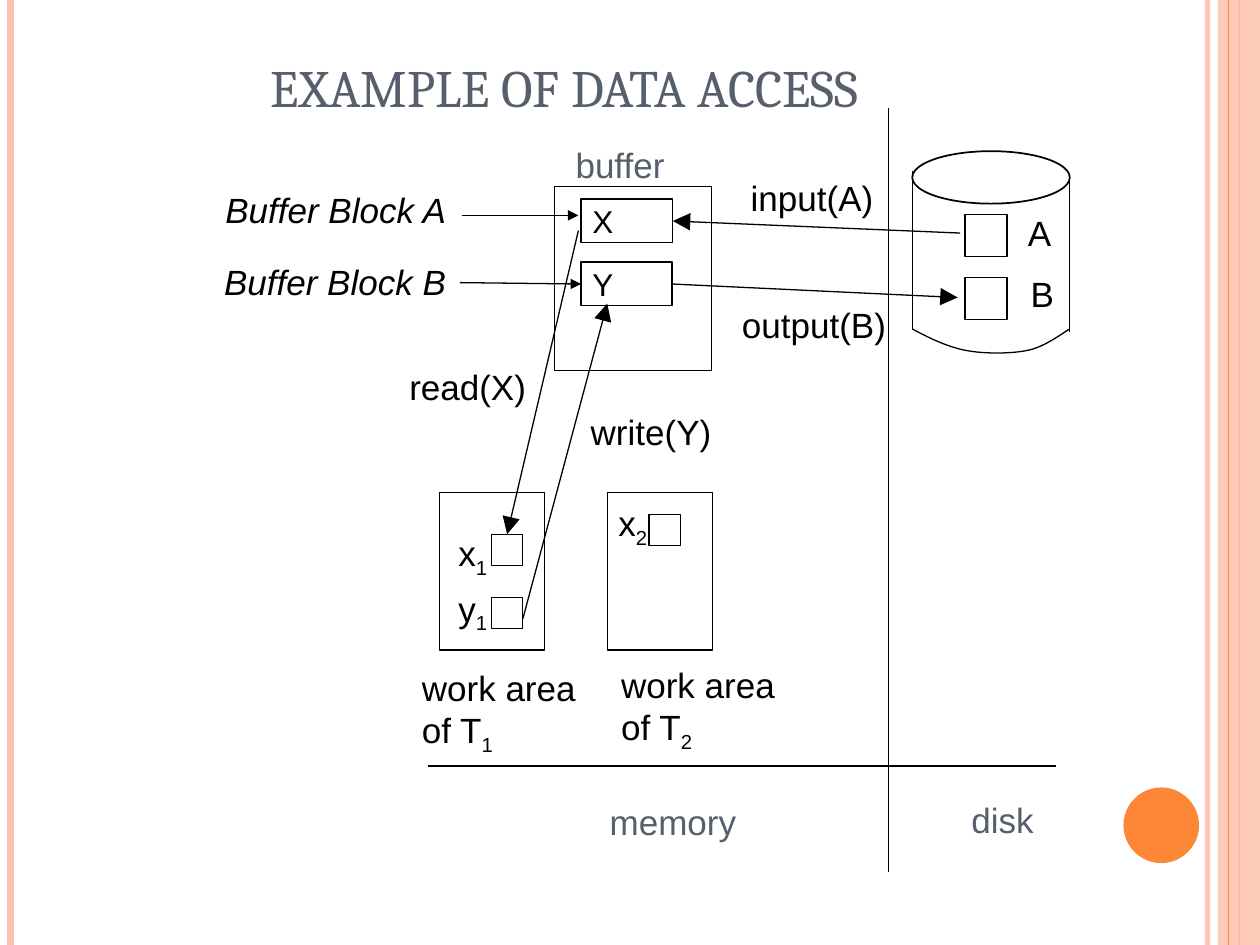
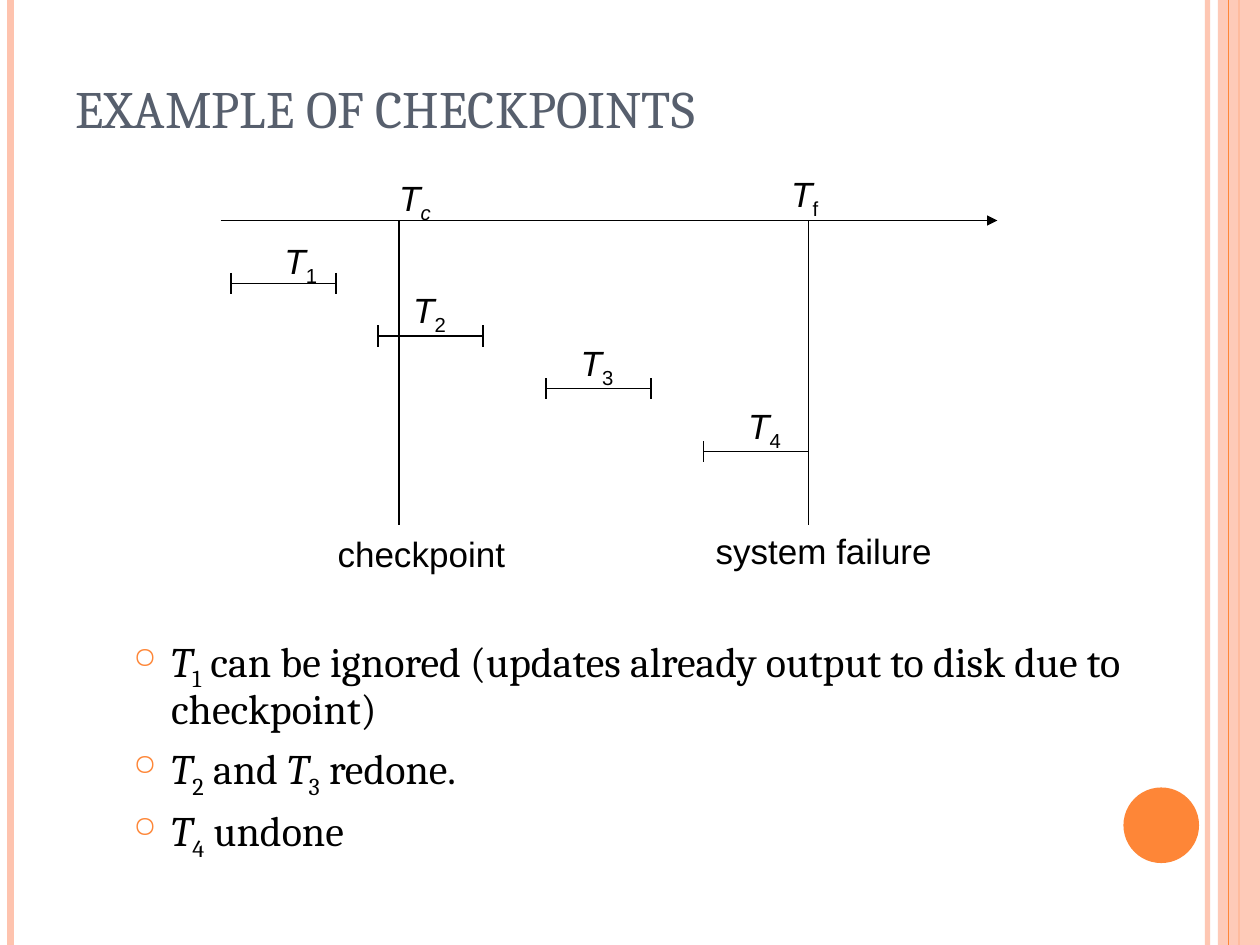
from lxml import etree
from pptx import Presentation
from pptx.dml.color import RGBColor
from pptx.enum.shapes import MSO_CONNECTOR, MSO_SHAPE
from pptx.enum.text import MSO_ANCHOR, MSO_AUTO_SIZE, PP_ALIGN
from pptx.oxml.ns import qn
from pptx.util import Pt

RECT, OVAL = MSO_SHAPE.RECTANGLE, MSO_SHAPE.OVAL
STRAIGHT = MSO_CONNECTOR.STRAIGHT
LEFT = PP_ALIGN.LEFT
TOP, MIDDLE, BOTTOM = MSO_ANCHOR.TOP, MSO_ANCHOR.MIDDLE, MSO_ANCHOR.BOTTOM
NO_FIT = MSO_AUTO_SIZE.NONE
SIDE_TOP, SIDE_LEFT, SIDE_RIGHT = 0, 1, 3

BLACK = RGBColor(0x00, 0x00, 0x00)
SLATE = RGBColor(0x57, 0x5F, 0x6D)
ORANGE = RGBColor(0xFE, 0x86, 0x37)
PEACH = RGBColor(0xFE, 0xC3, 0xAE)
SERIF, SANS = "Cambria", "Arial"
SLIDE_W, SLIDE_H = 720, 540

# Runs are (text, style): "i" italic, "s" subscript
# Vertical bands: x, colour, width, opacity in percent
BANDS = [(690, PEACH, 3, 93), (6, PEACH, 4.5, 100), (708, ORANGE, 1.5, 100)]
EDGE_BAND = (696, 0, 24, SLIDE_H)
EDGE_LINE = (702, ORANGE, 0.75, 100)
BADGE = (642, 450, 43.2, 43.2)

ACCESS_TITLE = ("EXAMPLE OF DATA ACCESS", (147.6, -6.5, 519, 77.8))
ACCESS_BOXES = {
    "buffer": (316.8, 106.6, 90, 105),
    "X": (332, 113.8, 52.5, 25),
    "Y": (332, 149.8, 52, 25),
    "A": (551.5, 122.4, 24, 24),
    "B": (551.5, 158.4, 24, 24),
    "area T1": (251.3, 281.5, 60, 90),
    "area T2": (347, 281.5, 60, 90),
    "x2": (370.8, 293.8, 18, 18),
    "x1": (280.8, 305.3, 18, 18),
    "y1": (280.8, 341.3, 18, 18),
}
# Paragraphs of runs, left, top, width, colour
ACCESS_LABELS = [
    ([[("A", "")]], 580.3, 117.4, 27.4, BLACK),
    ([[("B", "")]], 581.8, 152, 27.4, BLACK),
    ([[("x", ""), ("1", "s")]], 254.9, 300.2, 31, BLACK),
    ([[("y", ""), ("1", "s")]], 254.9, 332, 33.8, BLACK),
    ([[("x", ""), ("2", "s")]], 346.3, 283, 31, BLACK),
    ([[("buffer", "")]], 321.8, 78.5, 65.5, SLATE),
    ([[("Buffer Block A", "i")]], 121.7, 104.4, 146.9, BLACK),
    ([[("Buffer Block B", "i")]], 121, 145.4, 141, BLACK),
    ([[("input(A)", "")]], 421.9, 97.2, 84.2, BLACK),
    ([[("output(B)", "")]], 416.9, 170, 102.2, BLACK),
    ([[("read(X)", "")]], 226.8, 205.2, 81.4, BLACK),
    ([[("write(Y)", "")]], 330.5, 231.1, 83.5, BLACK),
    ([[("work area", "")], [("of T", ""), ("1", "s")]], 234, 377.3, 108, BLACK),
    ([[("work area", "")], [("of T", ""), ("2", "s")]], 347.8, 375.8, 102.2, BLACK),
    ([[("memory", "")]], 341.3, 453.6, 86.4, SLATE),
    ([[("disk", "")]], 548, 453, 49.7, SLATE),
]
DIVIDERS = [(244.8, 437.8, 603.4, 437.8), (507.6, 62, 507.6, 498.2)]
# Ends, arrowhead size, joined box and side at the start, at the end
ACCESS_ARROWS = [
    ((264.2, 123.1, 330.5, 123.1), "med", None, None),
    ((262.8, 161.5, 332, 162), "med", None, ("Y", SIDE_LEFT)),
    ((548.6, 133.2, 384.5, 126.3), "lg", None, ("X", SIDE_RIGHT)),
    ((384, 162.3, 547.2, 170), "lg", ("Y", SIDE_RIGHT), None),
    ((330.5, 131.8, 289.8, 305.3), "lg", None, ("x1", SIDE_TOP)),
    ((298.8, 353.5, 347, 173.5), "lg", None, None),
]
DISK_LID = (521.3, 86.4, 90, 30)
DISK_SIDES = [(521.3, 98, 521.3, 188), (611.3, 100, 611.3, 190)]
# Each curve is two handles and an end, going on from the one before
DISK_START = (521.3, 188)
DISK_CURVES = [
    ((530.6, 193), (540.7, 198), (551.5, 200.2)),
    ((562.3, 202.3), (577.4, 202.3), (587.5, 200.2)),
    ((597.6, 198), (607.7, 190), (611.3, 188)),
]

CHECK_TITLE = ("EXAMPLE OF CHECKPOINTS", (36, 21.6, 588, 61.2))
AXIS_Y, EVENT_END = 126, 300
TIME_AXIS = (126, AXIS_Y, 570, AXIS_Y)
EVENT_XS = [228, 462]
SPAN_W, TICK = 60, 6
# Number, span left, span y, label left, label top
SPANS = [
    ("1", 132, 162, 155.5, 133.2),
    ("2", 216, 192, 229, 161.3),
    ("3", 312, 222, 324.7, 191.5),
    ("4", 402, 258, 420.5, 227.5),
]
CHECK_LABELS = [
    ([[("T", "i"), ("c", "is")]], 221, 97.2, 32.4, BLACK),
    ([[("T", "i"), ("f", "s")]], 445, 95, 29.5, BLACK),
    ([[("checkpoint", "")]], 185.8, 301, 110.2, BLACK),
    ([[("system failure", "")]], 401.8, 298.8, 137.5, BLACK),
]
OUTCOMES_AT = (69.1, 360, 612, 133)
OUTCOMES = [
    [("T", "i"), ("1", "s"),
     (" can be ignored (updates already output to disk due to checkpoint)", "")],
    [("T", "i"), ("2", "s"), (" and ", ""), ("T", "i"), ("3", "s"), (" redone.", "")],
    [("T", "i"), ("4", "s"), (" undone", "")],
]


def pts(values):
    return [Pt(v) for v in values]


def set_opacity(fill_parent, percent):
    color = next(fill_parent.iter(qn("a:srgbClr")))
    etree.SubElement(color, qn("a:alpha"), val=str(percent * 1000))


def add_line(s, ends, color=BLACK, width=0.75, opacity=100, arrow=None):
    c = s.shapes.add_connector(STRAIGHT, *pts(ends))
    c.line.color.rgb = color
    c.line.width = Pt(width)
    ln = c.line._get_or_add_ln()
    if opacity < 100:
        set_opacity(ln, opacity)
    if arrow:
        etree.SubElement(ln, qn("a:tailEnd"), type="triangle", w=arrow, len=arrow)
    etree.SubElement(c._element.spPr, qn("a:effectLst"))
    return c


def outline(sp):
    sp.shadow.inherit = False
    sp.fill.background()
    sp.line.color.rgb = BLACK
    sp.line.width = Pt(0.75)


def add_outlined(s, kind, at):
    sp = s.shapes.add_shape(kind, *pts(at))
    outline(sp)
    return sp


def add_filled(s, kind, at, color):
    sp = s.shapes.add_shape(kind, *pts(at))
    sp.shadow.inherit = False
    sp.fill.solid()
    sp.fill.fore_color.rgb = color
    sp.line.fill.background()
    return sp


def write_runs(p, runs, font, size, color):
    for text, style in runs:
        r = p.add_run()
        r.text = text
        for name, value in {"name": font, "size": Pt(size), "italic": "i" in style}.items():
            setattr(r.font, name, value)
        r.font.color.rgb = color
        if "s" in style:
            r.font._element.set("baseline", "-25000")


def set_frame(tf, anchor, wrap):
    for name, value in {"vertical_anchor": anchor, "word_wrap": wrap,
                        "auto_size": NO_FIT}.items():
        setattr(tf, name, value)


def add_label(s, paragraphs, left, top, width, color):
    height = 7.2 + 24 * len(paragraphs)
    tf = s.shapes.add_textbox(*pts((left, top, width, height))).text_frame
    set_frame(tf, TOP, False)
    for i, runs in enumerate(paragraphs):
        p = tf.add_paragraph() if i else tf.paragraphs[0]
        write_runs(p, runs, SANS, 20, color)


def add_slide(prs, title, at):
    s = prs.slides.add_slide(prs.slide_layouts[5])
    for x, *look in BANDS:
        add_line(s, (x, 0, x, SLIDE_H), *look)
    set_opacity(add_filled(s, RECT, EDGE_BAND, PEACH)._element.spPr, 87)
    x, *look = EDGE_LINE
    add_line(s, (x, 0, x, SLIDE_H), *look)
    add_filled(s, OVAL, BADGE, ORANGE)
    ph = s.shapes.title
    ph.left, ph.top, ph.width, ph.height = pts(at)
    set_frame(ph.text_frame, BOTTOM, True)
    p = ph.text_frame.paragraphs[0]
    p.alignment = LEFT
    write_runs(p, [(title, "")], SERIF, 30, SLATE)
    return s


def curve_points(start, curves, steps=12):
    """Return points along a chain of cubic Bezier curves."""
    points = []
    for a, b, end in curves:
        for k in range(1, steps + 1):
            t = k / steps
            u = 1 - t
            points.append(tuple(
                Pt(u**3 * p0 + 3 * u * u * t * p1 + 3 * u * t * t * p2 + t**3 * p3)
                for p0, p1, p2, p3 in zip(start, a, b, end)))
        start = end
    return points


def add_disk(s):
    add_outlined(s, OVAL, DISK_LID).line.width = Pt(1)
    for side in DISK_SIDES:
        add_line(s, side)
    builder = s.shapes.build_freeform(*pts(DISK_START))
    builder.add_line_segments(curve_points(DISK_START, DISK_CURVES), close=False)
    outline(builder.convert_to_shape())


def build_access(prs):
    s = add_slide(prs, *ACCESS_TITLE)
    boxes = {name: add_outlined(s, RECT, at) for name, at in ACCESS_BOXES.items()}
    for name in "XY":
        tf = boxes[name].text_frame
        set_frame(tf, MIDDLE, True)
        tf.margin_left = Pt(6.5)
        tf.paragraphs[0].alignment = LEFT
        write_runs(tf.paragraphs[0], [(name, "")], SANS, 18, BLACK)
    add_disk(s)
    for divider in DIVIDERS:
        add_line(s, divider)
    for ends, head, start, end in ACCESS_ARROWS:
        c = add_line(s, ends, arrow=head)
        if start:
            c.begin_connect(boxes[start[0]], start[1])
        if end:
            c.end_connect(boxes[end[0]], end[1])
    for label in ACCESS_LABELS:
        add_label(s, *label)


def add_bullet(p):
    pPr = p._p.get_or_add_pPr()
    pPr.set("marL", str(Pt(21.6)))
    pPr.set("indent", str(-Pt(21.6)))
    color = etree.SubElement(pPr, qn("a:buClr"))
    etree.SubElement(color, qn("a:srgbClr"), val=str(ORANGE))
    etree.SubElement(pPr, qn("a:buSzPct"), val="70000")
    etree.SubElement(pPr, qn("a:buChar"), char="○")


def build_checkpoints(prs):
    s = add_slide(prs, *CHECK_TITLE)
    tf = s.shapes.add_textbox(*pts(OUTCOMES_AT)).text_frame
    set_frame(tf, TOP, True)
    for i, runs in enumerate(OUTCOMES):
        p = tf.add_paragraph() if i else tf.paragraphs[0]
        add_bullet(p)
        p.line_spacing = 0.9
        p.space_before = Pt(6 if i else 0)
        write_runs(p, runs, SERIF, 24, BLACK)
    add_line(s, TIME_AXIS, arrow="med")
    for x in EVENT_XS:
        add_line(s, (x, AXIS_Y, x, EVENT_END))
    for number, left, y, label_left, label_top in SPANS:
        add_line(s, (left, y, left + SPAN_W, y))
        for x in (left, left + SPAN_W):
            add_line(s, (x, y - TICK, x, y + TICK))
        add_label(s, [[("T", "i"), (number, "s")]], label_left, label_top, 33, BLACK)
    for label in CHECK_LABELS:
        add_label(s, *label)


def main():
    prs = Presentation()
    prs.slide_width, prs.slide_height = Pt(SLIDE_W), Pt(SLIDE_H)
    build_access(prs)
    build_checkpoints(prs)
    prs.save("out.pptx")


if __name__ == "__main__":
    main()
